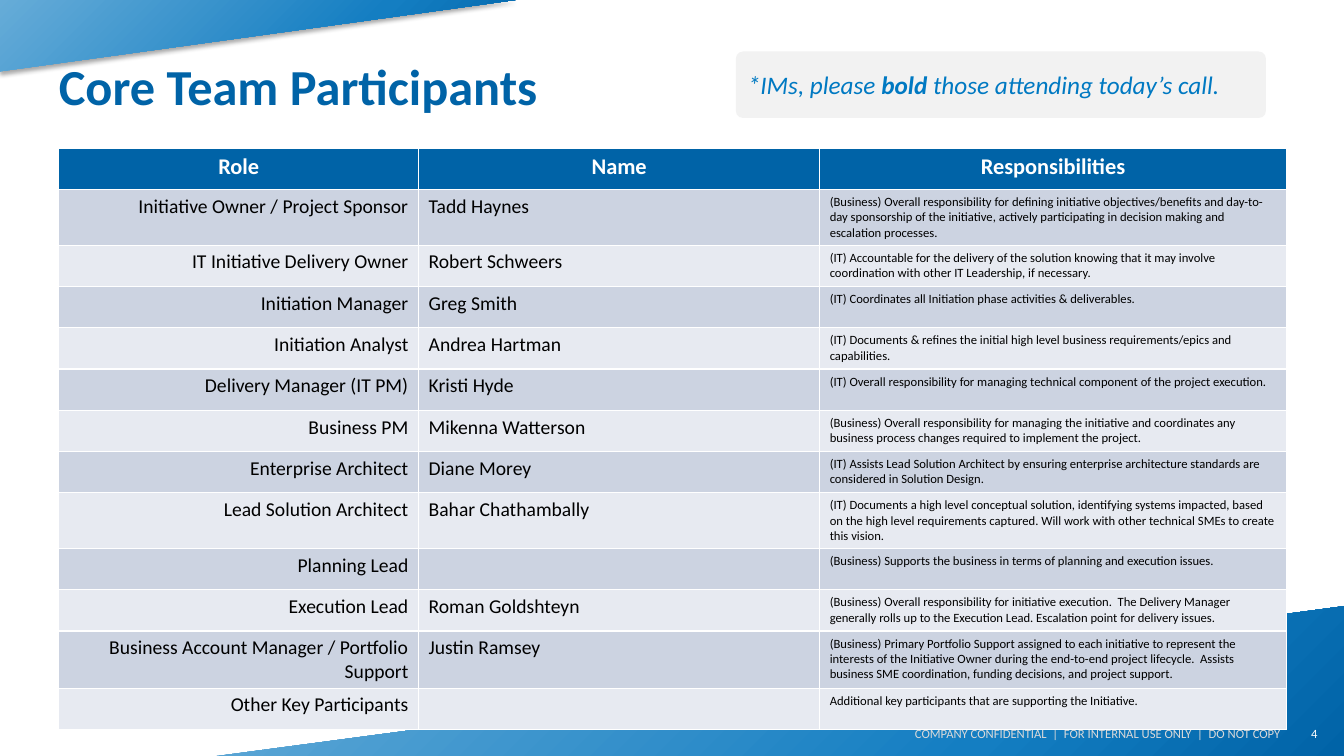
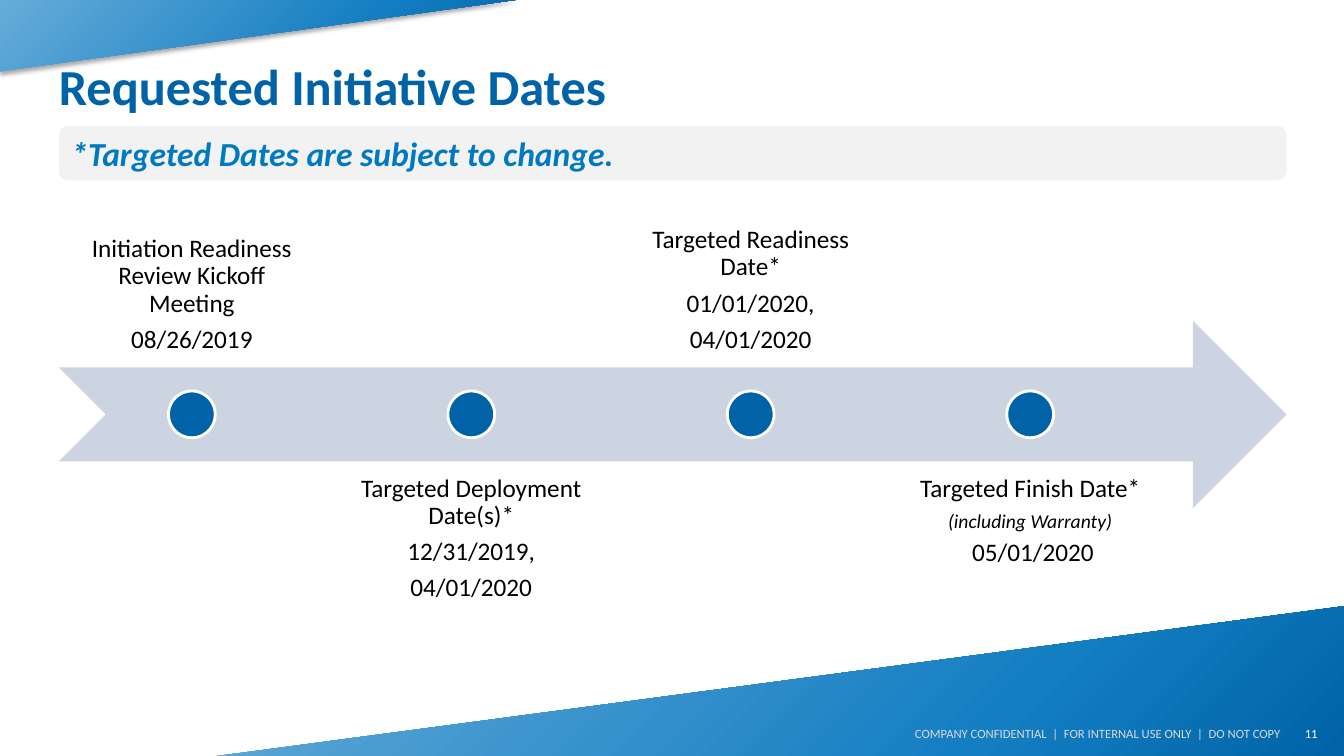
from pptx import Presentation
from pptx.dml.color import RGBColor
from pptx.enum.shapes import MSO_SHAPE
from pptx.enum.text import MSO_ANCHOR, PP_ALIGN
from pptx.oxml import parse_xml
from pptx.oxml.ns import nsdecls
from pptx.util import Pt

WIDE, HIGH = 960, 540
LEFT, SPAN = 42, 877
FONT = "Calibri"
HEX = {
    "navy": "0063A7", "blue": "147EC2", "sky": "66ACD8", "note": "0079C2",
    "odd": "CCD3E1", "even": "E7EAF1", "pale": "F2F2F2", "foot": "D9D9D9",
    "white": "FFFFFF", "black": "000000",
}

FOOTER = "COMPANY CONFIDENTIAL  |  FOR INTERNAL USE ONLY  |  DO NOT COPY"
# corner points, middle stop of the gradient
BANDS = [
    ([(0, 0), (368, 0), (0, 51)], 33),
    ([(WIDE, 433), (WIDE, HIGH), (155, HIGH)], 30),
]

HEADS = ["Role", "Name", "Responsibilities"]
COLS = [257, 286.5, 333.5]
TEAM = [
    ("Initiative Owner / Project Sponsor", "Tadd Haynes",
     "(Business) Overall responsibility for defining initiative objectives/benefits and "
     "day-to-day sponsorship of the initiative, actively participating in decision making "
     "and escalation processes."),
    ("IT Initiative Delivery Owner", "Robert Schweers",
     "(IT) Accountable for the delivery of the solution knowing that it may involve "
     "coordination with other IT Leadership, if necessary."),
    ("Initiation Manager", "Greg Smith",
     "(IT) Coordinates all Initiation phase activities & deliverables."),
    ("Initiation Analyst", "Andrea Hartman",
     "(IT) Documents & refines the initial high level business requirements/epics and "
     "capabilities."),
    ("Delivery Manager (IT PM)", "Kristi Hyde",
     "(IT) Overall responsibility for managing technical component of the project execution."),
    ("Business PM", "Mikenna Watterson",
     "(Business) Overall responsibility for managing the initiative and coordinates any "
     "business process changes required to implement the project."),
    ("Enterprise Architect", "Diane Morey",
     "(IT) Assists Lead Solution Architect by ensuring enterprise architecture standards "
     "are considered in Solution Design."),
    ("Lead Solution Architect", "Bahar Chathambally",
     "(IT) Documents a high level conceptual solution, identifying systems impacted, based "
     "on the high level requirements captured. Will work with other technical SMEs to "
     "create this vision."),
    ("Planning Lead", "",
     "(Business) Supports the business in terms of planning and execution issues."),
    ("Execution Lead", "Roman Goldshteyn",
     "(Business) Overall responsibility for initiative execution.  The Delivery Manager "
     "generally rolls up to the Execution Lead. Escalation point for delivery issues."),
    ("Business Account Manager / Portfolio Support", "Justin Ramsey",
     "(Business) Primary Portfolio Support assigned to each initiative to represent the "
     "interests of the Initiative Owner during the end-to-end project lifecycle.  Assists "
     "business SME coordination, funding decisions, and project support."),
    ("Other Key Participants", "",
     "Additional key participants that are supporting the Initiative."),
]

# text, bold
CALL = [("*IMs, please ", False), ("bold", True), (" those attending today’s call.", False)]
CHANGE = [("*Targeted Dates are subject to change.", True)]

# text, size, italic
DATES = [
    [("Initiation Readiness Review Kickoff Meeting", 18, False), ("08/26/2019", 18, False)],
    [("Targeted Deployment Date(s)*", 18, False), ("12/31/2019,", 18, False),
     ("04/01/2020", 18, False)],
    [("Targeted Readiness Date*", 18, False), ("01/01/2020,", 18, False),
     ("04/01/2020", 18, False)],
    [("Targeted Finish Date*", 18, False), ("(including Warranty)", 14, True),
     (" 05/01/2020", 18, False)],
]


def rgb(name):
    return RGBColor.from_string(HEX[name])


def style(para, size, color, bold=False, italic=False, align=PP_ALIGN.LEFT):
    para.alignment = align
    for run in para.runs:
        font = run.font
        font.name, font.size = FONT, Pt(size)
        font.bold, font.italic = bold, italic
        font.color.rgb = rgb(color)


def inset(frame, left, top, right, low):
    frame.margin_left, frame.margin_top = Pt(left), Pt(top)
    frame.margin_right, frame.margin_bottom = Pt(right), Pt(low)


def add_text(slide, box, anchor):
    frame = slide.shapes.add_textbox(*map(Pt, box)).text_frame
    frame.word_wrap = True
    frame.vertical_anchor = anchor
    return frame


def add_shape(slide, kind, box, color):
    shape = slide.shapes.add_shape(kind, *map(Pt, box))
    shape.shadow.inherit = False
    shape.fill.solid()
    shape.fill.fore_color.rgb = rgb(color)
    shape.line.fill.background()
    return shape


def add_band(slide, points, middle):
    """Draw a corner wedge, darkest at its lower right, with a soft shadow."""
    pen = slide.shapes.build_freeform(*map(Pt, points[0]))
    pen.add_line_segments([(Pt(x), Pt(y)) for x, y in points[1:]])
    band = pen.convert_to_shape()
    band.line.fill.background()
    band.shadow.inherit = False
    band.fill.solid()
    stops = "".join(
        f'<a:gs pos="{pos * 1000}"><a:srgbClr val="{HEX[name]}"/></a:gs>'
        for pos, name in [(0, "navy"), (middle, "blue"), (100, "sky")])
    props = band.element.spPr
    props.replace(props.find("{*}solidFill"), parse_xml(
        f'<a:gradFill {nsdecls("a")} rotWithShape="1"><a:gsLst>{stops}</a:gsLst>'
        '<a:path path="circle"><a:fillToRect l="100000" t="100000"/></a:path></a:gradFill>'))
    props.find("{*}effectLst").append(parse_xml(
        f'<a:outerShdw {nsdecls("a")} blurRad="{Pt(3.1)}" dist="{Pt(1.8)}" dir="5400000">'
        f'<a:srgbClr val="{HEX["black"]}"><a:alpha val="35000"/></a:srgbClr></a:outerShdw>'))


def add_slide(deck, title, number):
    slide = deck.slides.add_slide(deck.slide_layouts[5])
    for points, middle in BANDS:
        add_band(slide, points, middle)
    head = slide.shapes.title
    head.left, head.top, head.width, head.height = map(Pt, (LEFT, 21.6, SPAN, 78.5))
    frame = head.text_frame
    frame.text = title
    frame.vertical_anchor = MSO_ANCHOR.MIDDLE
    inset(frame, 0, 3.6, 7.2, 3.6)
    style(frame.paragraphs[0], 36, "navy", bold=True)

    foot = add_text(slide, (540, 518.4, 374.4, 11.5), MSO_ANCHOR.MIDDLE)
    inset(foot, 0, 3.6, 0, 3.6)
    page = add_text(slide, (882, 509.8, 66.2, 28.8), MSO_ANCHOR.MIDDLE)
    for frame, text, color in [(foot, FOOTER, "foot"), (page, str(number), "white")]:
        frame.text = text
        style(frame.paragraphs[0], 9, color, align=PP_ALIGN.RIGHT)
    return slide


def add_note(slide, box, parts, size, round_by):
    note = add_shape(slide, MSO_SHAPE.ROUNDED_RECTANGLE, box, "pale")
    note.adjustments[0] = round_by
    note.text_frame.vertical_anchor = MSO_ANCHOR.MIDDLE
    para = note.text_frame.paragraphs[0]
    for text, _ in parts:
        para.add_run().text = text
    style(para, size, "note", italic=True)
    for run, (_, bold) in zip(para.runs, parts):
        run.font.bold = bold


def add_team(slide):
    rows = [HEADS] + TEAM
    tall = 29.5
    table = slide.shapes.add_table(
        len(rows), len(COLS), Pt(LEFT), Pt(106), Pt(SPAN), Pt(tall * len(rows))).table
    for col, width in zip(table.columns, COLS):
        col.width = Pt(width)
    looks = [(14, PP_ALIGN.RIGHT), (14, PP_ALIGN.LEFT), (9, PP_ALIGN.LEFT)]
    for r, row in enumerate(rows):
        table.rows[r].height = Pt(tall)
        for c, text in enumerate(row):
            cell = table.cell(r, c)
            cell.text = text
            cell.fill.solid()
            para = cell.text_frame.paragraphs[0]
            if r == 0:
                cell.fill.fore_color.rgb = rgb("navy")
                style(para, 16, "white", bold=True, align=PP_ALIGN.CENTER)
            else:
                cell.fill.fore_color.rgb = rgb("odd" if r % 2 else "even")
                size, align = looks[c]
                style(para, size, "black", align=align)


def add_dates(slide):
    top, tall, dot = 229, 134, 33.4
    mid = top + tall / 2
    wide = 190.1
    step = wide * 1.05
    add_shape(slide, MSO_SHAPE.NOTCHED_RIGHT_ARROW, (LEFT, top, SPAN, tall), "odd")
    for i, lines in enumerate(DATES):
        left = LEFT + i * step
        if i % 2:
            y, anchor = mid + tall / 4, MSO_ANCHOR.TOP
        else:
            y, anchor = mid - tall / 4 - tall, MSO_ANCHOR.BOTTOM
        frame = add_text(slide, (left, y, wide, tall), anchor)
        inset(frame, 10, 10, 10, 10)
        frame.text = "\n".join(text for text, _, _ in lines)
        for para, (_, size, italic) in zip(frame.paragraphs, lines):
            style(para, size, "black", italic=italic, align=PP_ALIGN.CENTER)
            para.line_spacing = 0.9
            para.space_after = Pt(size * 0.35)
        mark = add_shape(slide, MSO_SHAPE.OVAL,
                         (left + (wide - dot) / 2, mid - dot / 2, dot, dot), "navy")
        mark.line.color.rgb = rgb("white")
        mark.line.width = Pt(2)


def main():
    deck = Presentation()
    deck.slide_width, deck.slide_height = Pt(WIDE), Pt(HIGH)

    team = add_slide(deck, "Core Team Participants", 4)
    add_team(team)
    add_note(team, (525.6, 36.8, 378.7, 47.5), CALL, 18, 0.11)

    dates = add_slide(deck, "Requested Initiative Dates", 11)
    add_dates(dates)
    add_note(dates, (LEFT, 90, SPAN, 38.9), CHANGE, 24, 0.17)

    deck.save("out.pptx")


if __name__ == "__main__":
    main()
